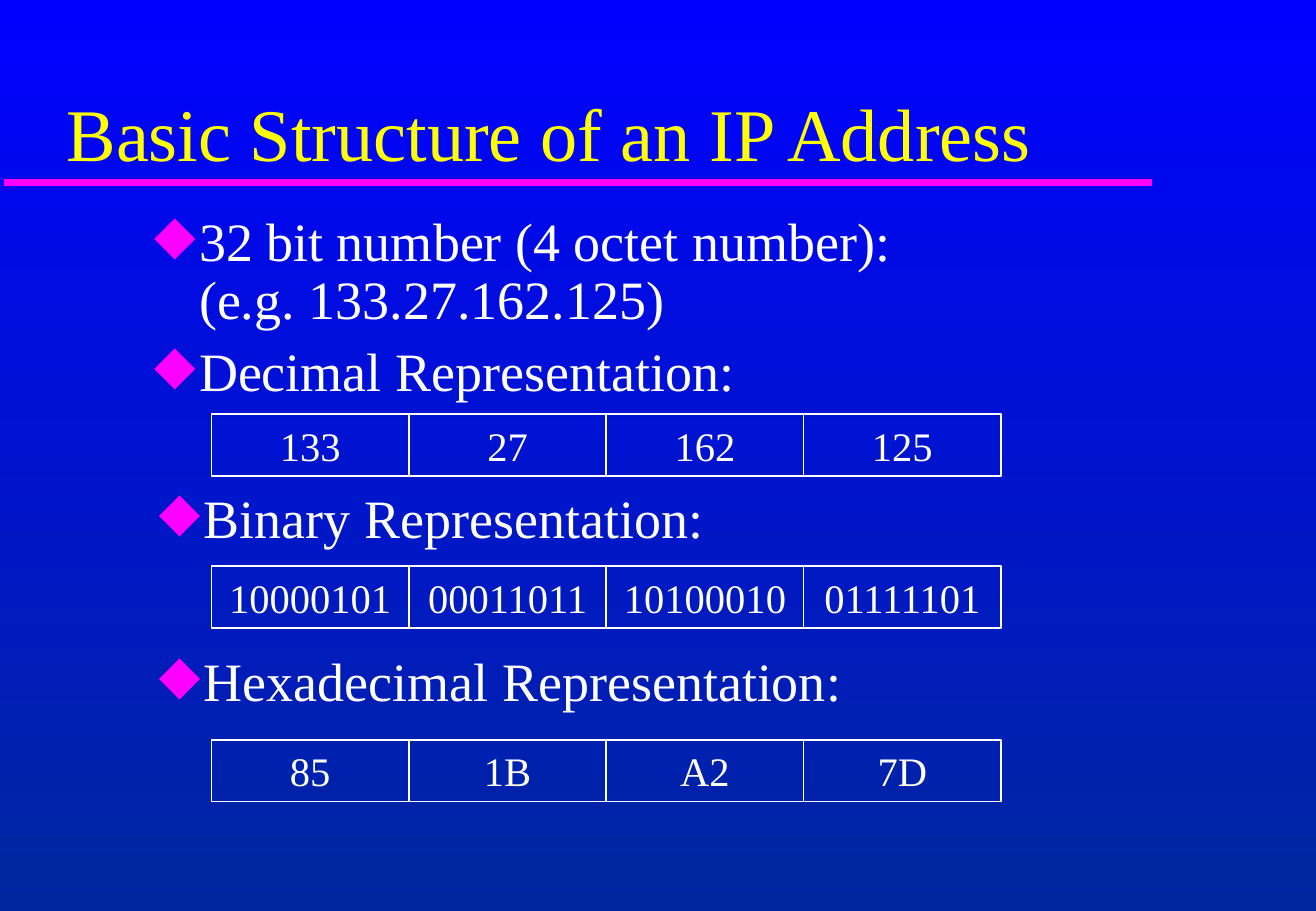
from lxml.etree import SubElement
from pptx import Presentation
from pptx.dml.color import RGBColor
from pptx.enum.shapes import MSO_CONNECTOR as Connector, MSO_SHAPE as Shape
from pptx.enum.text import MSO_ANCHOR as Anchor, PP_ALIGN as Align
from pptx.oxml.ns import qn
from pptx.util import Inches, Pt

# Content; places are percentages of the slide's width and height
TITLE = "Basic Structure of an IP Address"
HEADINGS = [  # left, top, height, bulleted lines
    (10.8, 22.93, 28.4, ["32 bit number (4 octet number):\v(e.g. 133.27.162.125)",
                         "Decimal Representation:"]),
    (11.17, 53.33, 14.8, ["Binary Representation:"]),
    (11.17, 71.2, 14.8, ["Hexadecimal Representation:"]),
]
OCTET_ROWS = [  # top, octets
    (45.47, ["133", "27", "162", "125"]),
    (62.13, ["10000101", "00011011", "10100010", "01111101"]),
    (81.2, ["85", "1B", "A2", "7D"]),
]
OCTETS_LEFT, OCTET_WIDTH, OCTET_HEIGHT = 16.07, 15, 6.8

FONT = "Times New Roman"
BLUE = RGBColor(0x00, 0x00, 0xFF)
NAVY = RGBColor(0x00, 0x27, 0x9F)
YELLOW = RGBColor(0xFF, 0xFF, 0x00)
MAGENTA = RGBColor(0xFF, 0x00, 0xFF)
WHITE = RGBColor(0xFF, 0xFF, 0xFF)

deck = Presentation()
deck.slide_width, deck.slide_height = Inches(10.83), Inches(7.5)
slide = deck.slides.add_slide(deck.slide_layouts[6])


def place(*shares):
    """Turn alternating shares of width and height into lengths."""
    sides = (deck.slide_width, deck.slide_height) * 2
    return [int(side * share / 100) for side, share in zip(sides, shares)]


def style(paragraph, size, color):
    for run in paragraph.runs:
        run.font.name, run.font.size = FONT, Pt(size)
        run.font.color.rgb = color


def add_bullet(paragraph):
    props = paragraph._p.get_or_add_pPr()
    props.set("marL", str(Inches(0.37)))
    props.set("indent", str(-Inches(0.37)))
    color = SubElement(props, qn("a:buClr"))
    SubElement(color, qn("a:srgbClr"), val=str(MAGENTA))
    SubElement(props, qn("a:buChar"), char="◆")


# Background
backdrop = slide.background.fill
backdrop.gradient()
backdrop.gradient_angle = 270
for stop, color in zip(backdrop.gradient_stops, (BLUE, NAVY)):
    stop.color.rgb = color

# Title and rule below it
rule = slide.shapes.add_connector(Connector.STRAIGHT, *place(0.28, 20, 87.53, 20))
rule.line.color.rgb, rule.line.width = MAGENTA, Pt(4)
SubElement(rule._element.spPr, qn("a:effectLst"))

title = slide.shapes.add_textbox(*place(4.16, 2.53, 84.95, 17.47)).text_frame
title.word_wrap, title.vertical_anchor = True, Anchor.BOTTOM
title.text = TITLE
style(title.paragraphs[0], 44, YELLOW)

# Octet boxes
for top, octets in OCTET_ROWS:
    for column, octet in enumerate(octets):
        left = OCTETS_LEFT + column * OCTET_WIDTH
        box = slide.shapes.add_shape(
            Shape.RECTANGLE, *place(left, top, OCTET_WIDTH, OCTET_HEIGHT))
        box.shadow.inherit = False
        box.fill.background()
        box.line.color.rgb, box.line.width = WHITE, Pt(1)
        frame = box.text_frame
        frame.margin_left = frame.margin_right = Inches(0.05)
        frame.vertical_anchor = Anchor.MIDDLE
        frame.text = octet
        frame.paragraphs[0].alignment = Align.CENTER
        style(frame.paragraphs[0], 24, WHITE)

# Bulleted headings
for left, top, height, lines in HEADINGS:
    frame = slide.shapes.add_textbox(*place(left, top, 84.49, height)).text_frame
    frame.word_wrap = True
    frame.text = "\n".join(lines)
    for paragraph in frame.paragraphs:
        paragraph.line_spacing, paragraph.space_before = 0.9, Pt(7.7)
        add_bullet(paragraph)
        style(paragraph, 32, WHITE)

deck.save("out.pptx")
